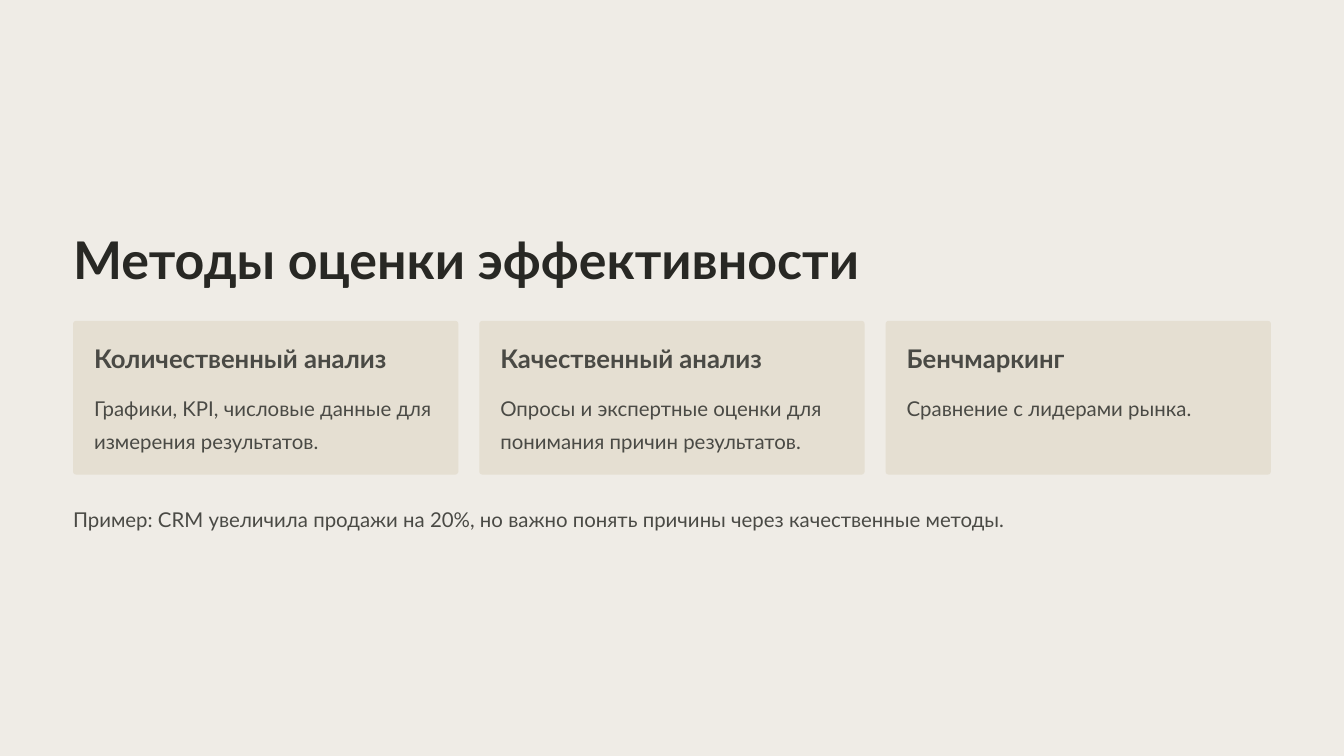
from pptx import Presentation
from pptx.dml.color import RGBColor
from pptx.enum.shapes import MSO_SHAPE as Shape
from pptx.util import Inches, Pt

BACKGROUND = RGBColor(0xEF, 0xEC, 0xE6)
CARD_FILL = RGBColor(0xE5, 0xDF, 0xD2)
DARK = RGBColor(0x28, 0x28, 0x24)
GREY = RGBColor(0x4A, 0x4A, 0x45)

TITLE = {"size": Pt(44.5), "bold": True, "color": DARK, "leading": Pt(55.5)}
HEADING = {"size": Pt(22), "bold": True, "color": GREY, "leading": Pt(27.5)}
BODY = {"size": Pt(17.5), "bold": False, "color": GREY, "leading": Pt(28.5)}

MARGIN, CONTENT_WIDTH = 0.87, 14.26
CARD_GAP, CARD_PADDING = 0.25, 0.25
CARDS = [
    ("Количественный анализ",
     "Графики, KPI, числовые данные для измерения результатов."),
    ("Качественный анализ",
     "Опросы и экспертные оценки для понимания причин результатов."),
    ("Бенчмаркинг", "Сравнение с лидерами рынка."),
]


def add_text(page, box, text, style, wrap=False):
    """Place one paragraph in a box without insets."""
    frame = page.shapes.add_textbox(*map(Inches, box)).text_frame
    frame.word_wrap = wrap
    for side in ("left", "top", "right", "bottom"):
        setattr(frame, f"margin_{side}", 0)
    para = frame.paragraphs[0]
    para.line_spacing = style["leading"]
    span = para.add_run()
    span.text = text
    span.font.name = "Lato"
    span.font.color.rgb = style["color"]
    for name in ("size", "bold"):
        setattr(span.font, name, style[name])


def add_card(page, box, heading, body):
    """Draw a rounded card with a heading and a wrapped description."""
    left, top, width, height = box
    card = page.shapes.add_shape(Shape.ROUNDED_RECTANGLE, *map(Inches, box))
    card.adjustments[0] = 0.02
    card.shadow.inherit = False
    card.fill.solid()
    card.fill.fore_color.rgb = CARD_FILL
    card.line.fill.background()

    inner_left, inner_width = left + CARD_PADDING, width - 2 * CARD_PADDING
    add_text(page, (inner_left, top + CARD_PADDING, inner_width, 0.39),
             heading, HEADING)
    add_text(page, (inner_left, top + 0.79, inner_width, 0.79),
             body, BODY, wrap=True)


def add_card_row(page, box):
    """Share the box width equally among the cards."""
    left, top, width, height = box
    card_width = (width - CARD_GAP * (len(CARDS) - 1)) / len(CARDS)
    for index, (heading, body) in enumerate(CARDS):
        card_left = left + index * (card_width + CARD_GAP)
        add_card(page, (card_left, top, card_width, height), heading, body)


def main():
    deck = Presentation()
    deck.slide_width, deck.slide_height = Inches(16), Inches(9)
    page = deck.slides.add_slide(deck.slide_layouts[6])
    page.background.fill.solid()
    page.background.fill.fore_color.rgb = BACKGROUND

    # Title, cards and closing example
    add_text(page, (MARGIN, 2.68, 10.43, 0.77),
             "Методы оценки эффективности", TITLE)
    add_card_row(page, (MARGIN, 3.82, CONTENT_WIDTH, 1.83))
    add_text(page, (MARGIN, 5.93, CONTENT_WIDTH, 0.4),
             "Пример: CRM увеличила продажи на 20%, но важно понять причины "
             "через качественные методы.", BODY)

    deck.save("out.pptx")


if __name__ == "__main__":
    main()
